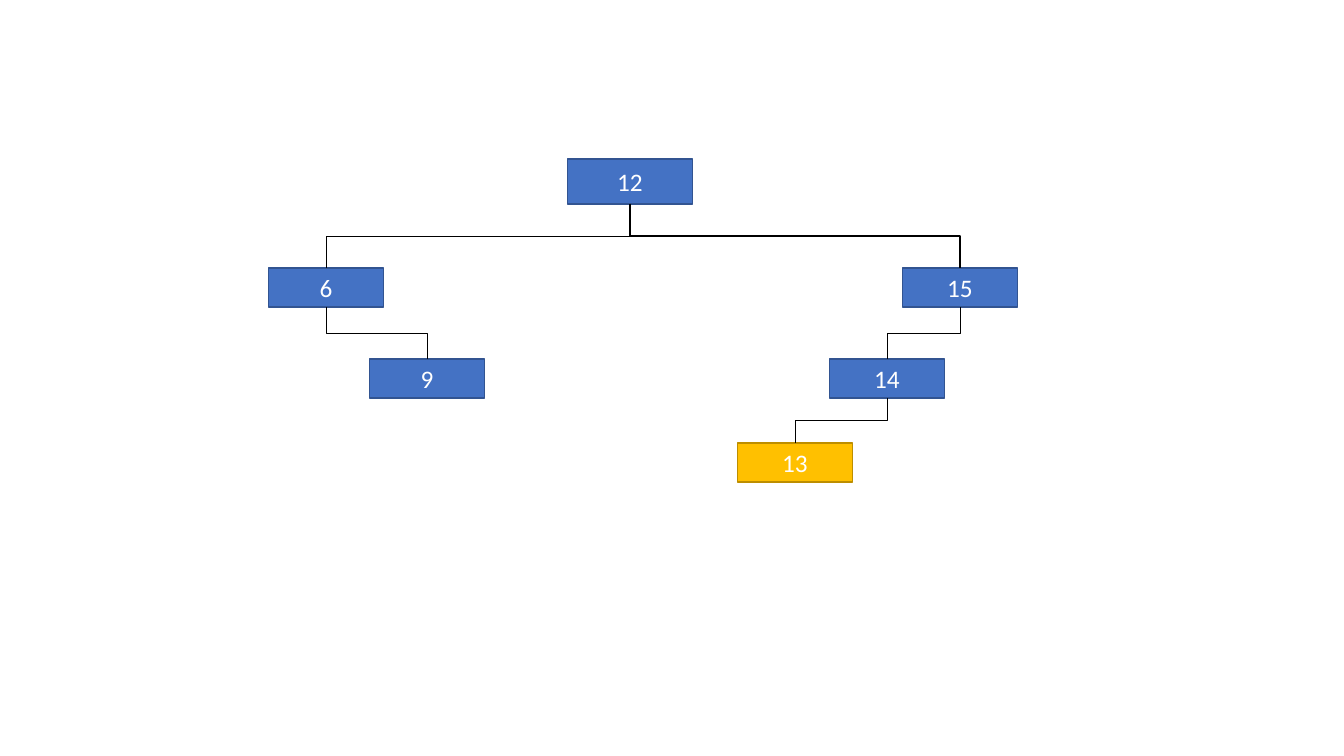
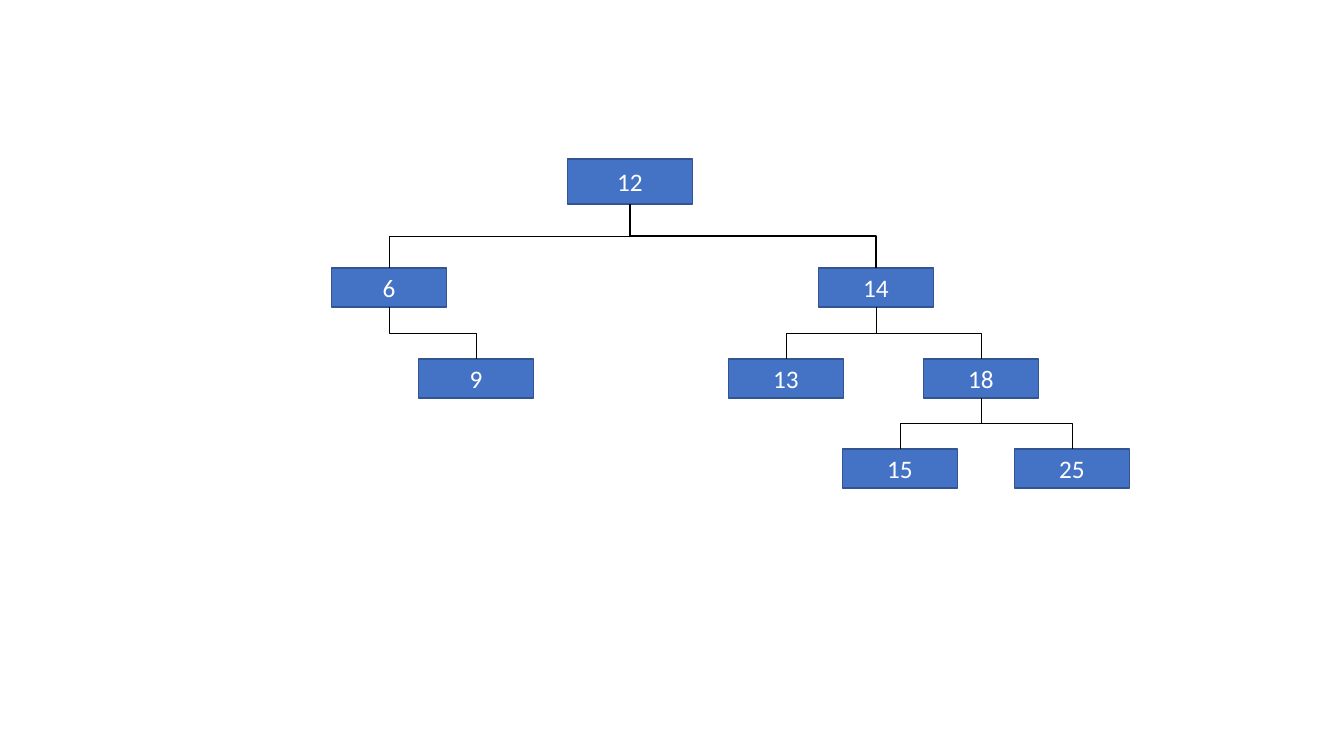
import pptx
import pptx.util
import pptx.dml.color
import pptx.enum.shapes
import pptx.enum.text
import pptx.oxml.ns
import lxml.etree

SLIDE_WIDTH, SLIDE_HEIGHT = 1344, 756
EMU_PER_PX = 12192000 / SLIDE_WIDTH

ROOT_SIZE = (125, 45)
CHILD_SIZE = (115, 39)
ROOT_TOP, CHILD_TOP, GRANDCHILD_TOP = 159, 268, 359
BOTTOM_SITE, TOP_SITE = 2, 0

BLUE = ("4472C4", "325491")
GOLD = ("FFC000", "BD8E00")

BEFORE_ROTATION = [
    dict(label="12", center=630, top=ROOT_TOP, size=ROOT_SIZE),
    dict(label="6", parent="12", center=326, top=CHILD_TOP),
    dict(label="15", parent="12", center=960, top=CHILD_TOP, link_width=1),
    dict(label="9", parent="6", center=427, top=GRANDCHILD_TOP),
    dict(label="14", parent="15", center=887, top=GRANDCHILD_TOP),
    dict(label="13", parent="14", center=795, top=443, colors=GOLD),
]

AFTER_ROTATION = [
    dict(label="12", center=630, top=ROOT_TOP, size=ROOT_SIZE),
    dict(label="6", parent="12", center=389, top=CHILD_TOP),
    dict(label="14", parent="12", center=876, top=CHILD_TOP, link_width=1),
    dict(label="9", parent="6", center=476, top=GRANDCHILD_TOP),
    dict(label="13", parent="14", center=786, top=GRANDCHILD_TOP),
    dict(label="18", parent="14", center=981, top=GRANDCHILD_TOP),
    dict(label="25", parent="18", center=1072, top=449),
    dict(label="15", parent="18", center=900, top=449),
]


def px(length):
    return pptx.util.Emu(round(length * EMU_PER_PX))


def color(value):
    return pptx.dml.color.RGBColor.from_string(value)


def apply_format(target, values):
    for name, value in values.items():
        setattr(target, name, value)


class TreeDeck:
    font = {"name": "Calibri", "size": pptx.util.Pt(18)}
    text_color = "FFFFFF"
    link_color = "000000"
    frame = {
        "word_wrap": True,
        "vertical_anchor": pptx.enum.text.MSO_ANCHOR.MIDDLE,
    }

    def __init__(self):
        self.presentation = pptx.Presentation()
        self.presentation.slide_width = px(SLIDE_WIDTH)
        self.presentation.slide_height = px(SLIDE_HEIGHT)
        self.slide = None

    def add_slide(self):
        self.slide = self.presentation.slides.add_slide(self.presentation.slide_layouts[6])

    def style_line(self, line, line_color, width):
        line.color.rgb = color(line_color)
        line.width = pptx.util.Pt(width)

    def add_node(self, label, center, top, size, colors):
        width, height = size
        shape = self.slide.shapes.add_shape(
            pptx.enum.shapes.MSO_SHAPE.RECTANGLE,
            px(center - width / 2), px(top), px(width), px(height),
        )
        fill_color, outline_color = colors
        shape.shadow.inherit = False
        shape.fill.solid()
        shape.fill.fore_color.rgb = color(fill_color)
        self.style_line(shape.line, outline_color, 1)
        apply_format(shape.text_frame, self.frame)
        paragraph = shape.text_frame.paragraphs[0]
        paragraph.alignment = pptx.enum.text.PP_ALIGN.CENTER
        run = paragraph.add_run()
        run.text = label
        apply_format(run.font, self.font)
        run.font.color.rgb = color(self.text_color)
        return shape

    def add_link(self, parent, child, width):
        connector = self.slide.shapes.add_connector(
            pptx.enum.shapes.MSO_CONNECTOR.ELBOW, 0, 0, 0, 0
        )
        connector.begin_connect(parent, BOTTOM_SITE)
        connector.end_connect(child, TOP_SITE)
        self.turn_upright(connector)
        self.style_line(connector.line, self.link_color, width)
        properties = connector._element.spPr
        lxml.etree.SubElement(properties, pptx.oxml.ns.qn("a:effectLst"))

    def turn_upright(self, connector):
        goes_right = connector.end_x > connector.begin_x
        middle_x = (connector.begin_x + connector.end_x) // 2
        middle_y = (connector.begin_y + connector.end_y) // 2
        run_length, drop = connector.width, connector.height
        apply_format(connector, {
            "left": middle_x - drop // 2,
            "top": middle_y - run_length // 2,
            "width": drop,
            "height": run_length,
        })
        transform = connector._element.spPr.find(pptx.oxml.ns.qn("a:xfrm"))
        transform.set("rot", "16200000" if goes_right else "5400000")
        transform.set("flipH", "1" if goes_right else "0")
        transform.set("flipV", "0")

    def add_tree(self, nodes):
        self.add_slide()
        shapes = {}
        for node in nodes:
            label = node["label"]
            shapes[label] = self.add_node(
                label, node["center"], node["top"],
                node.get("size", CHILD_SIZE), node.get("colors", BLUE),
            )
            if "parent" in node:
                self.add_link(shapes[node["parent"]], shapes[label], node.get("link_width", 0.5))


def main():
    deck = TreeDeck()
    for nodes in (BEFORE_ROTATION, AFTER_ROTATION):
        deck.add_tree(nodes)
    deck.presentation.save("out.pptx")


if __name__ == "__main__":
    main()
